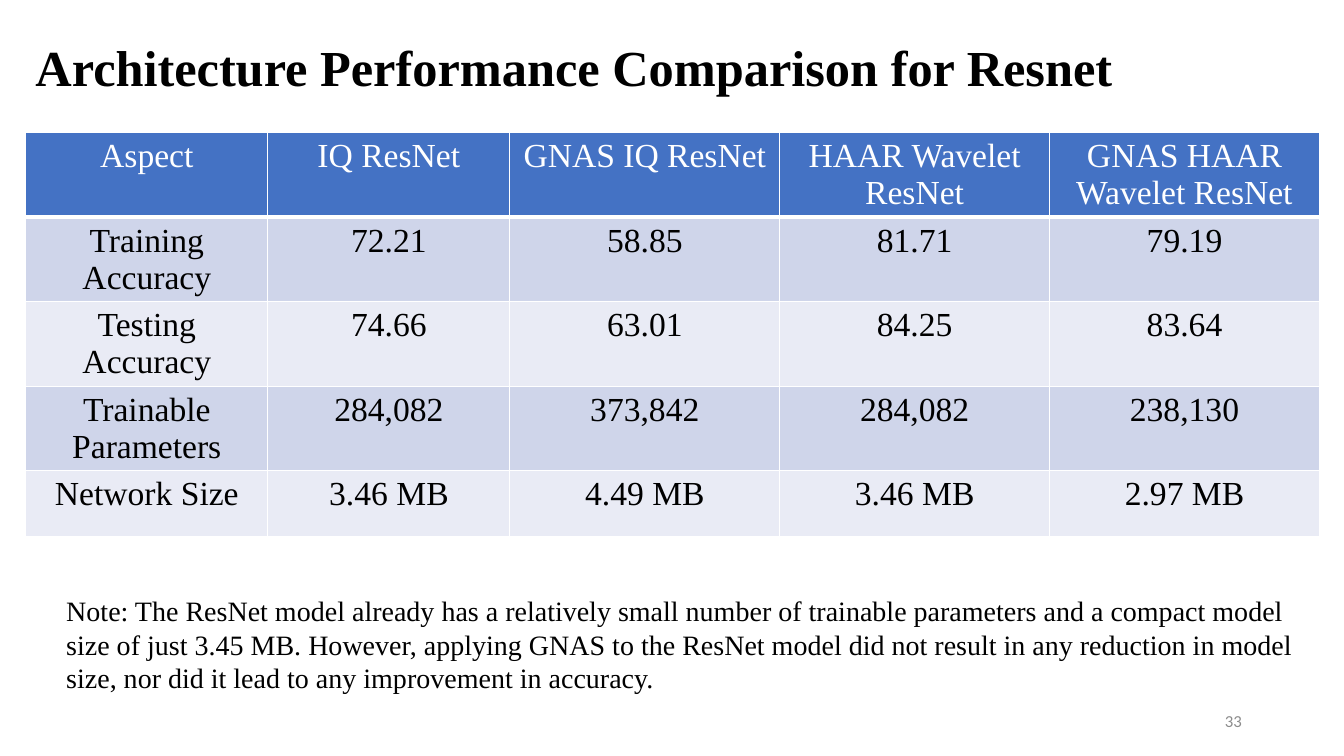
from lxml import etree
from pptx import Presentation
from pptx.dml.color import RGBColor
from pptx.enum import text
from pptx.oxml import ns
from pptx.util import Cm, Pt

BLACK = RGBColor(0x00, 0x00, 0x00)
WHITE = RGBColor(0xFF, 0xFF, 0xFF)
HEADER_BLUE = RGBColor(0x44, 0x72, 0xC4)
BAND_DARK = RGBColor(0xCF, 0xD5, 0xEA)
BAND_LIGHT = RGBColor(0xE9, 0xEB, 0xF5)
NUMBER_GREY = RGBColor(0x8C, 0x8C, 0x8C)
SERIF = "Times New Roman"


def add_run(paragraph, wording, size, color, font=SERIF, bold=False):
    run = paragraph.add_run()
    run.text = wording
    run.font.name = font
    run.font.size = Pt(size)
    run.font.bold = bold
    run.font.color.rgb = color


def add_border(cell, side, width):
    """Draw a white line on one side (L, R, T or B); call before filling the cell."""
    line = etree.SubElement(cell._tc.get_or_add_tcPr(), ns.qn(f"a:ln{side}"), w=str(Pt(width)))
    fill = etree.SubElement(line, ns.qn("a:solidFill"))
    etree.SubElement(fill, ns.qn("a:srgbClr"), val=str(WHITE))


deck = Presentation()
deck.slide_width, deck.slide_height = Cm(33.87), Cm(19.05)
slide = deck.slides.add_slide(deck.slide_layouts[5])

# Title
title = slide.shapes.title
title.left, title.top, title.width, title.height = Cm(0.64), Cm(0.58), Cm(29.77), Cm(2.39)
title.text_frame.auto_size = text.MSO_AUTO_SIZE.NONE
title.text_frame.vertical_anchor = text.MSO_ANCHOR.MIDDLE
heading = title.text_frame.paragraphs[0]
heading.alignment = text.PP_ALIGN.LEFT
heading.line_spacing = 0.9
add_run(heading, "Architecture Performance Comparison for Resnet", 36, BLACK, bold=True)

# Comparison table
results = [
    ["Aspect", "IQ ResNet", "GNAS IQ ResNet", "HAAR Wavelet ResNet", "GNAS HAAR Wavelet ResNet"],
    ["Training Accuracy", "72.21", "58.85", "81.71", "79.19"],
    ["Testing Accuracy", "74.66", "63.01", "84.25", "83.64"],
    ["Trainable Parameters", "284,082", "373,842", "284,082", "238,130"],
    ["Network Size", "3.46 MB", "4.49 MB", "3.46 MB", "2.97 MB"],
]
column_widths = [6.1, 6.1, 6.8, 6.8, 6.8]
row_heights = [2.13, 2.13, 2.13, 2.13, 1.65]
comparison = slide.shapes.add_table(
    len(results), len(column_widths), Cm(0.65), Cm(3.34),
    Cm(sum(column_widths)), Cm(sum(row_heights))).table
for column, width in zip(comparison.columns, column_widths):
    column.width = Cm(width)
for row, height in zip(comparison.rows, row_heights):
    row.height = Cm(height)

for r, values in enumerate(results):
    is_header = r == 0
    band = HEADER_BLUE if is_header else BAND_DARK if r % 2 else BAND_LIGHT
    for c, value in enumerate(values):
        cell = comparison.cell(r, c)
        for side in "LRTB":
            add_border(cell, side, 3 if is_header and side == "B" else 1)
        cell.fill.solid()
        cell.fill.fore_color.rgb = band
        entry = cell.text_frame.paragraphs[0]
        entry.alignment = text.PP_ALIGN.CENTER
        add_run(entry, value, 24, WHITE if is_header else BLACK)

# Note below the table
note = slide.shapes.add_textbox(Cm(1.42), Cm(14.83), Cm(31.5), Cm(2.82)).text_frame
note.word_wrap = True
note.auto_size = text.MSO_AUTO_SIZE.SHAPE_TO_FIT_TEXT
add_run(note.paragraphs[0],
        "Note: The ResNet model already has a relatively small number of trainable parameters "
        "and a compact model size of just 3.45 MB. However, applying GNAS to the ResNet model "
        "did not result in any reduction in model size, nor did it lead to any improvement in "
        "accuracy.", 20, BLACK)

# Slide number
page = slide.shapes.add_textbox(Cm(23.93), Cm(17.65), Cm(7.62), Cm(1.02)).text_frame
page.word_wrap = True
page.vertical_anchor = text.MSO_ANCHOR.MIDDLE
page.paragraphs[0].alignment = text.PP_ALIGN.RIGHT
add_run(page.paragraphs[0], "33", 12, NUMBER_GREY, font="Calibri")

deck.save("out.pptx")
